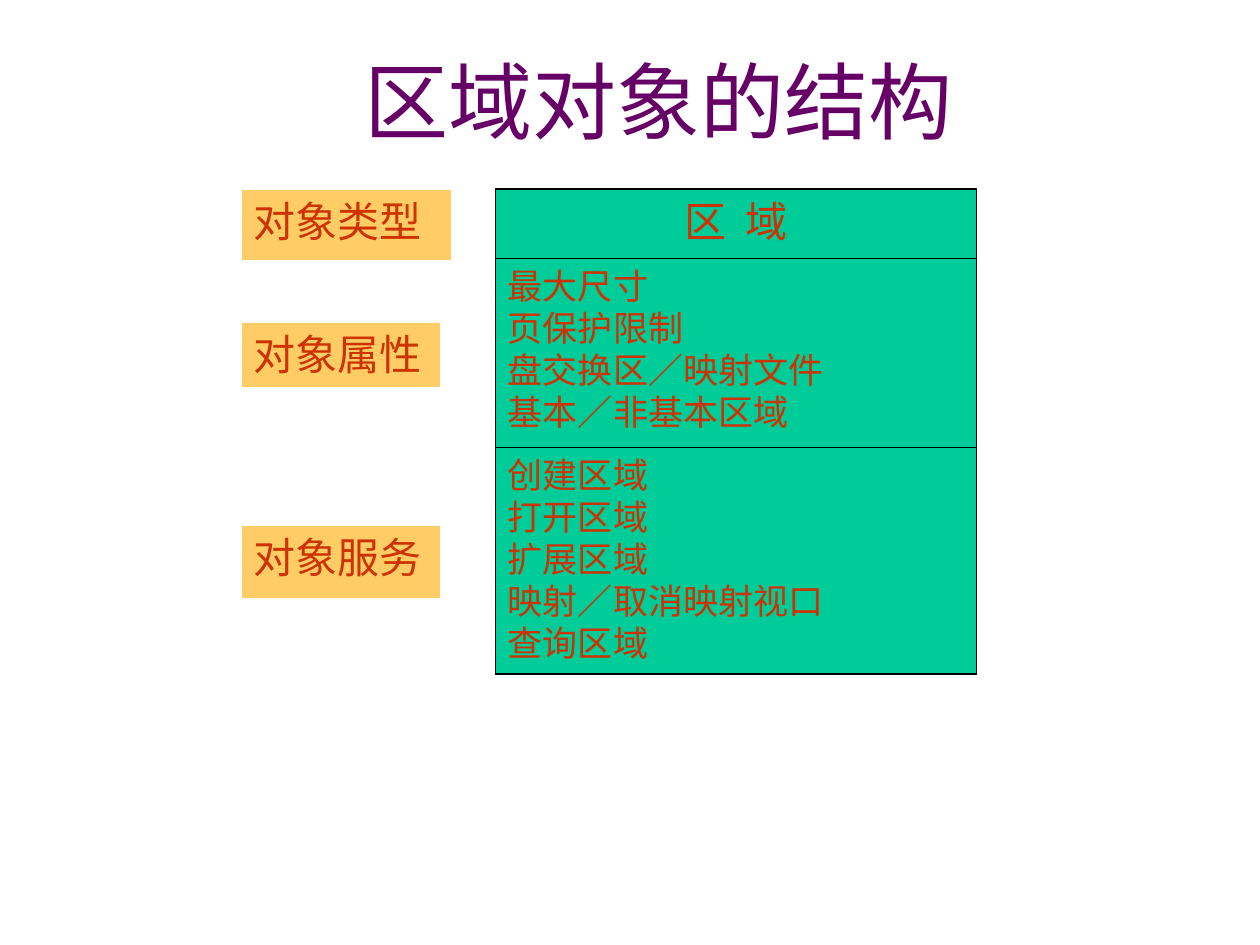
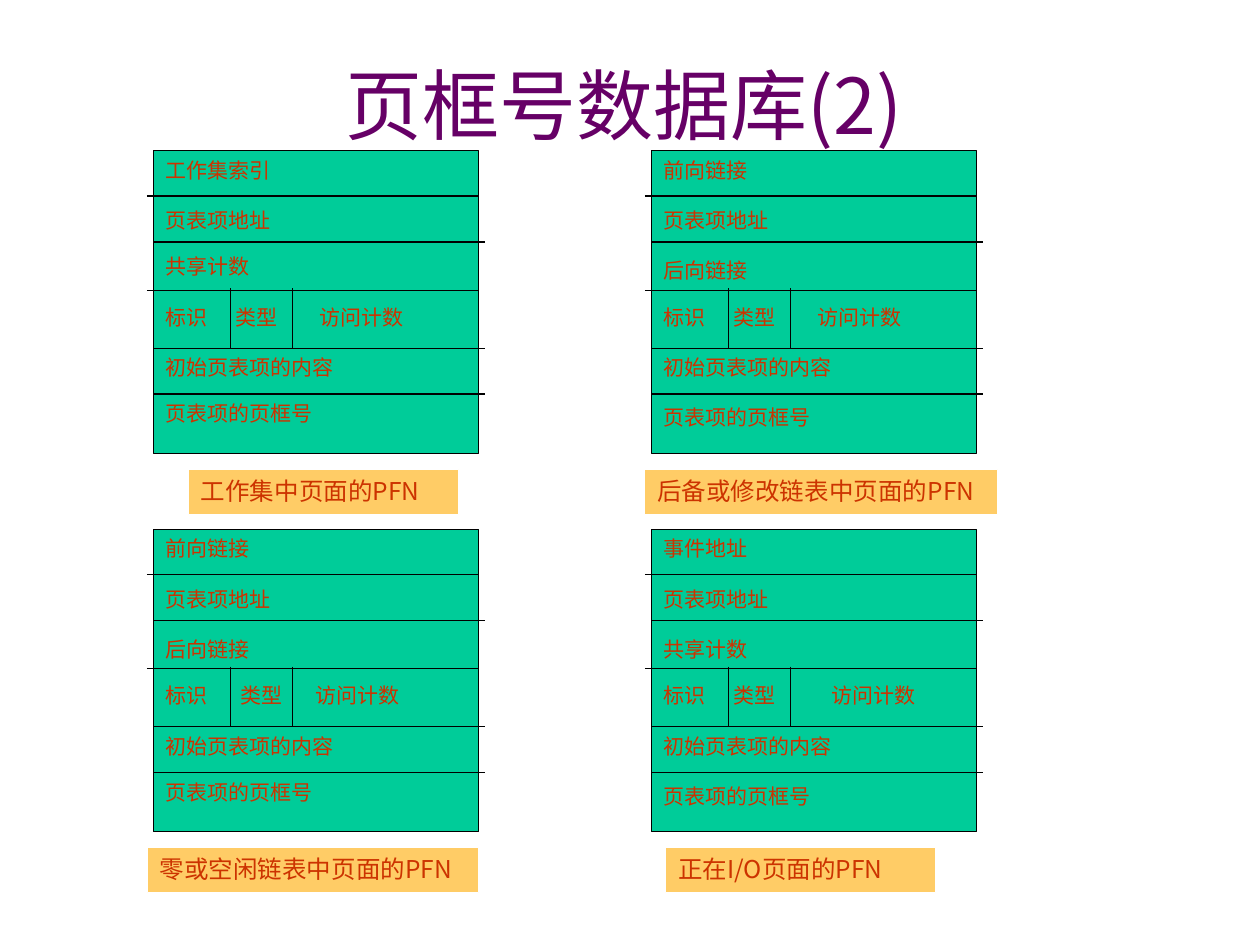
from dataclasses import dataclass

from lxml.etree import SubElement
from pptx import Presentation
from pptx.dml.color import RGBColor
from pptx.enum.shapes import MSO_CONNECTOR, MSO_SHAPE
from pptx.enum.text import MSO_ANCHOR, PP_ALIGN
from pptx.oxml.ns import qn
from pptx.util import Cm, Pt


@dataclass(frozen=True)
class Theme:
    font: str = "Noto Sans CJK JP"
    title: RGBColor = RGBColor(0x66, 0x00, 0x66)
    text: RGBColor = RGBColor(0xCC, 0x33, 0x00)
    panel: RGBColor = RGBColor(0x00, 0xCC, 0x99)
    label: RGBColor = RGBColor(0xFF, 0xCC, 0x66)
    rule: RGBColor = RGBColor(0x00, 0x00, 0x00)
    label_edge: RGBColor = RGBColor(0xFF, 0xFF, 0xFF)
    line: float = 0.75
    object_title_size: int = 48
    database_title_size: int = 44
    heading_size: int = 24
    list_size: int = 20
    caption_size: int = 14
    field_size: int = 12
    leading: float = 1.2


THEME = Theme()


@dataclass(frozen=True)
class Box:
    left: float
    top: float
    width: float
    height: float

    def lengths(self):
        return [Cm(v) for v in (self.left, self.top, self.width, self.height)]


# Shared parts

def write(frame, text, size, color=THEME.text, align=PP_ALIGN.LEFT):
    frame.text = text
    frame.word_wrap = True
    frame.vertical_anchor = MSO_ANCHOR.TOP
    frame.margin_left = frame.margin_right = Cm(0.25)
    frame.margin_top = frame.margin_bottom = Cm(0.13)
    for paragraph in frame.paragraphs:
        paragraph.alignment = align
        paragraph.line_spacing = Pt(size * THEME.leading)
        for run in paragraph.runs:
            run.font.size = Pt(size)
            run.font.name = THEME.font
            run.font.color.rgb = color
            SubElement(run.font._element, qn("a:ea")).set("typeface", THEME.font)


def add_title(slide, box, text, size):
    title = slide.shapes.add_textbox(*box.lengths())
    write(title.text_frame, text, size, THEME.title)


def add_box(slide, box, text, size, fill, edge, align=PP_ALIGN.LEFT):
    shape = slide.shapes.add_shape(MSO_SHAPE.RECTANGLE, *box.lengths())
    shape.shadow.inherit = False
    shape.fill.solid()
    shape.fill.fore_color.rgb = fill
    shape.line.color.rgb = edge
    shape.line.width = Pt(THEME.line)
    write(shape.text_frame, text, size, align=align)
    return shape.text_frame


def add_panel(slide, box, text, size, align=PP_ALIGN.LEFT):
    return add_box(slide, box, text, size, THEME.panel, THEME.rule, align)


def add_label(slide, box, text, size):
    add_box(slide, box, text, size, THEME.label, THEME.label_edge)


def add_rule(slide, x1, y1, x2, y2):
    rule = slide.shapes.add_connector(
        MSO_CONNECTOR.STRAIGHT, Cm(x1), Cm(y1), Cm(x2), Cm(y2))
    rule.line.color.rgb = THEME.rule
    rule.line.width = Pt(THEME.line)
    SubElement(rule._element.spPr, qn("a:effectLst"))


# Slide 1: structure of the section object

ATTRIBUTES = ["最大尺寸", "页保护限制", "盘交换区／映射文件", "基本／非基本区域"]
SERVICES = ["创建区域", "打开区域", "扩展区域", "映射／取消映射视口", "查询区域"]


def add_object_table(slide, box):
    type_height, services_top = 1.4, 5.21
    heading = add_panel(slide, Box(box.left, box.top, box.width, type_height),
                        "区 域", THEME.heading_size, PP_ALIGN.CENTER)
    # Letter spacing widens the gap between the two characters
    heading.paragraphs[0].runs[0].font._element.set("spc", "270")
    for offset, items in ((type_height, ATTRIBUTES), (services_top, SERVICES)):
        part = Box(box.left, box.top + offset, box.width, box.height - offset)
        add_panel(slide, part, "\n".join(items), THEME.list_size)


def add_object_labels(slide, left, top):
    for text, offset, width, height in (("对象类型", 0, 4.24, 1.45),
                                        ("对象属性", 2.69, 4.01, 1.32),
                                        ("对象服务", 6.78, 4.01, 1.47)):
        add_label(slide, Box(left, top + offset, width, height),
                  text, THEME.heading_size)


def build_section_object(slide):
    add_object_table(slide, Box(9.99, 3.81, 9.7, 9.78))
    add_object_labels(slide, 4.87, 3.81)
    add_title(slide, Box(7.1, 0.86, 14.48, 2.29), "区域对象的结构",
              THEME.object_title_size)


# Slide 2: page frame number database

@dataclass(frozen=True)
class Entry:
    caption: str
    caption_left: float
    caption_width: float
    first: str
    third: str
    tabs: tuple
    gaps: tuple  # type size of the empty space above rows two to six


ENTRIES = [
    Entry("工作集中页面的PFN", 0.71, 5.44, "工作集索引", "共享计数",
          (1.41, 3.1), (12, 10, 12, 12, 10)),
    Entry("后备或修改链表中页面的PFN", -0.13, 7.11, "前向链接", "后向链接",
          (1.41, 3.1), (12, 12, 10, 12, 12)),
    Entry("零或空闲链表中页面的PFN", -0.12, 6.68, "前向链接", "后向链接",
          (1.51, 3.02), (12, 12, 10, 12, 10)),
    Entry("正在I/O页面的PFN", 0.29, 5.44, "事件地址", "共享计数",
          (1.41, 3.39), (12, 12, 10, 12, 12)),
]
OVERHANG = 0.13
# Height of each row rule and the side on which it sticks out
ROW_RULES = ((0.91, "left"), (1.84, "right"), (2.81, "left"),
             (3.98, "right"), (4.9, "right"))
FIELD_RULES = (1.55, 2.8)
FIELD_TOP, FIELD_BOTTOM = 2.77, 3.98


def add_tabs(paragraph, stops):
    tab_list = SubElement(paragraph._p.get_or_add_pPr(), qn("a:tabLst"))
    for stop in stops:
        tab = SubElement(tab_list, qn("a:tab"))
        tab.set("pos", str(Cm(stop)))
        tab.set("algn", "l")


def add_entry(slide, box, entry):
    # Six fields of the entry
    fields = [entry.first, "页表项地址", entry.third, "标识\t类型\t访问计数",
              "初始页表项的内容", "页表项的页框号"]
    rows = add_panel(slide, box, "\n".join(fields), THEME.field_size).paragraphs
    for row, gap in zip(rows[1:], entry.gaps):
        row.space_before = Pt(gap * THEME.leading)
    add_tabs(rows[3], entry.tabs)

    # Rules between rows and between the three short fields
    for offset, side in ROW_RULES:
        start = box.left - (OVERHANG if side == "left" else 0)
        end = box.left + box.width + (OVERHANG if side == "right" else 0)
        add_rule(slide, start, box.top + offset, end, box.top + offset)
    for offset in FIELD_RULES:
        x = box.left + offset
        add_rule(slide, x, box.top + FIELD_TOP, x, box.top + FIELD_BOTTOM)

    # Caption below
    caption = Box(box.left + entry.caption_left, box.top + box.height + 0.32,
                  entry.caption_width, 0.91)
    add_label(slide, caption, entry.caption, THEME.caption_size)


def build_frame_database(slide):
    left, top, column_step, row_step = 3.09, 3.04, 10.04, 7.63
    for index, entry in enumerate(ENTRIES):
        row, column = divmod(index, 2)
        add_entry(slide, Box(left + column * column_step, top + row * row_step,
                             6.56, 6.1), entry)
    add_title(slide, Box(6.71, 1.02, 13.39, 1.12), "页框号数据库(2)",
              THEME.database_title_size)


def main():
    deck = Presentation()
    deck.slide_width, deck.slide_height = Cm(25.4), Cm(19.05)
    for build in (build_section_object, build_frame_database):
        build(deck.slides.add_slide(deck.slide_layouts[6]))
    deck.save("out.pptx")


if __name__ == "__main__":
    main()
